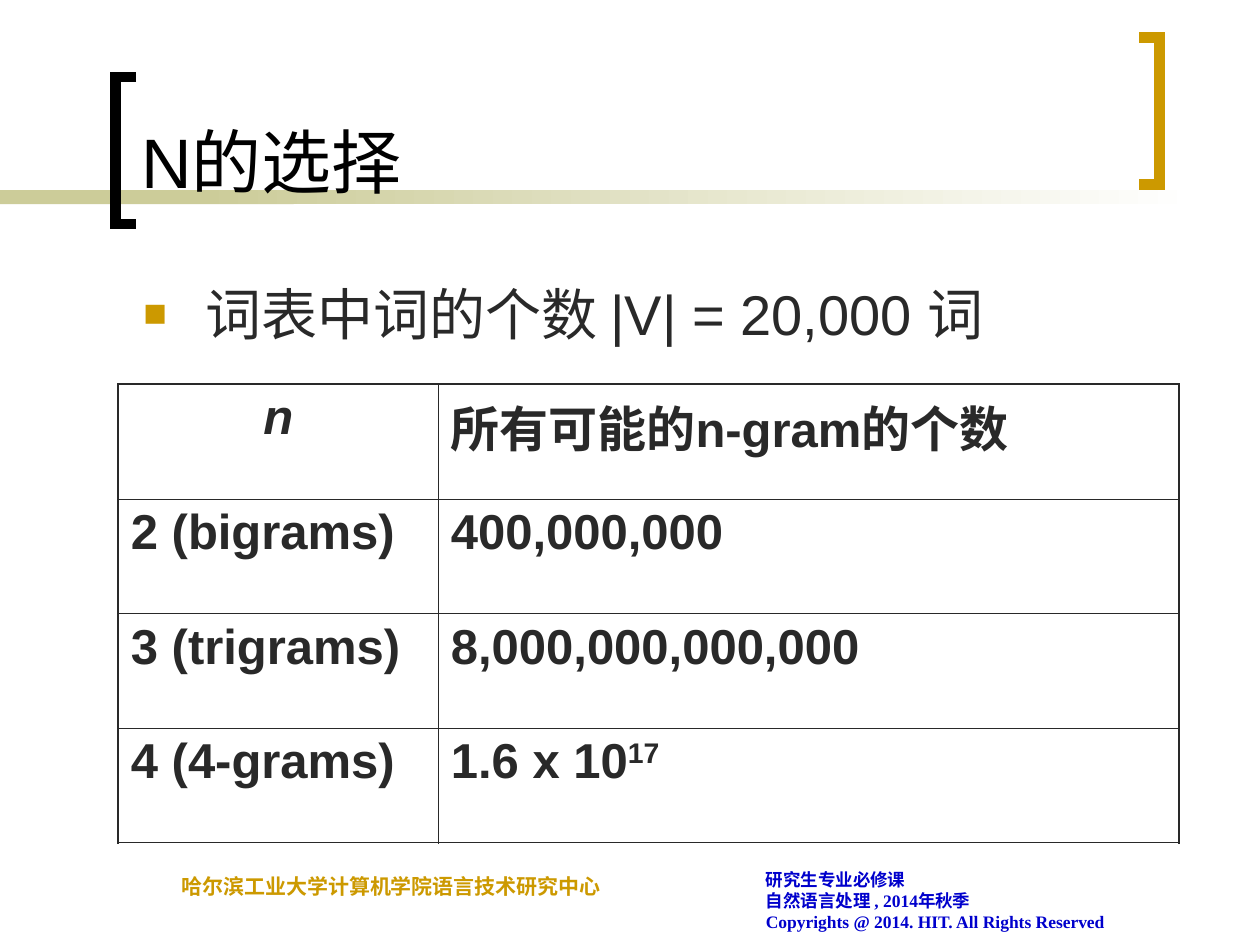
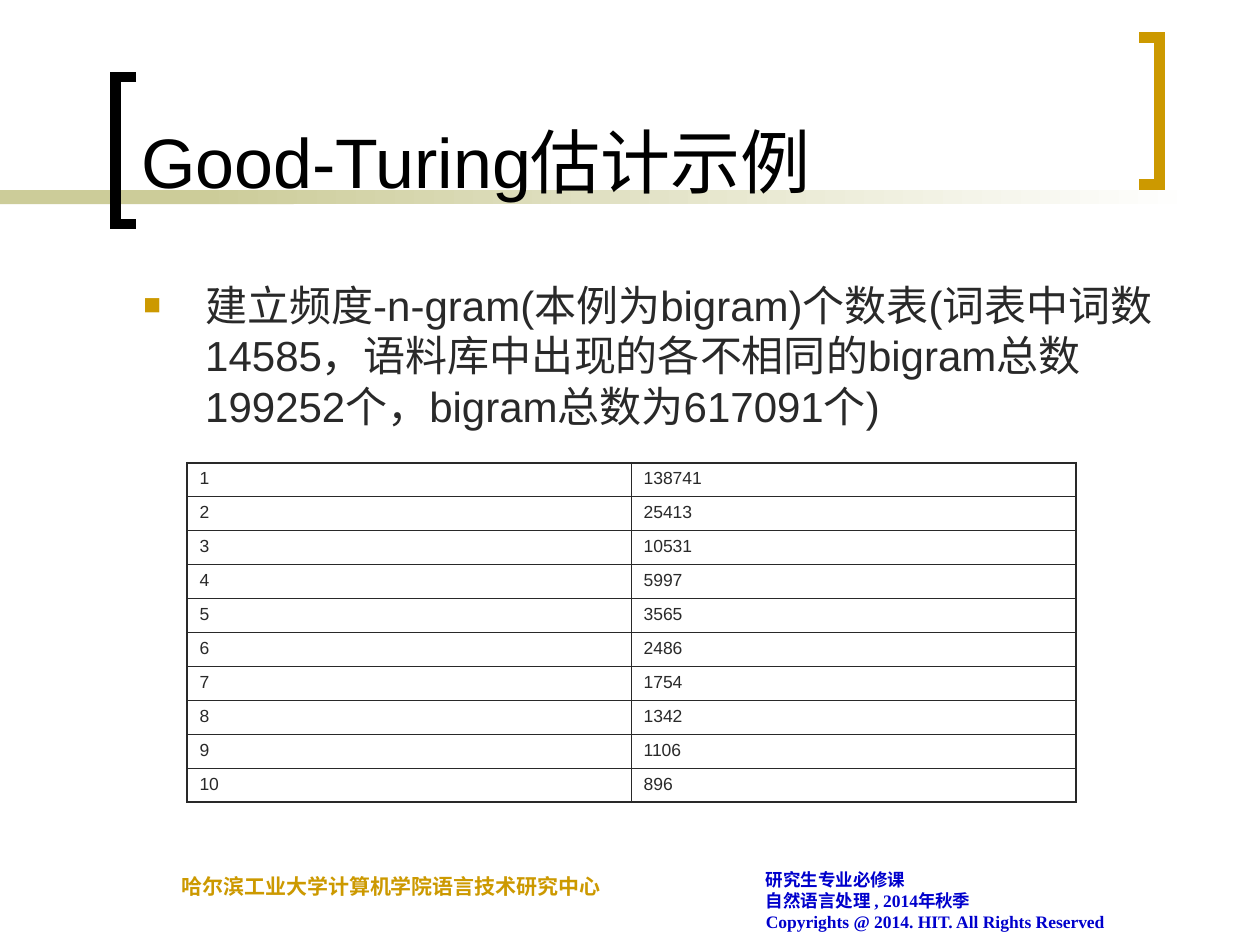
from lxml.etree import SubElement
from pptx import Presentation
from pptx.dml.color import RGBColor
from pptx.enum.shapes import MSO_SHAPE as SHAPE
from pptx.enum.text import MSO_ANCHOR as ANCHOR, MSO_AUTO_SIZE as AUTO_SIZE, PP_ALIGN as ALIGN
from pptx.oxml.ns import qn
from pptx.util import Pt

BLACK, INK, WHITE = "000000", "292929", "FFFFFF"
GOLD, SAND, BLUE = "CC9900", "CCCC99", "0000CC"
SANS, SERIF = "Arial", "Times New Roman"
COURSE_LINES = [
    "研究生专业必修课",
    "自然语言处理 , 2014年秋季",
    "Copyrights @ 2014. HIT. All Rights Reserved",
]
CENTER_NAME = "哈尔滨工业大学计算机学院语言技术研究中心"


def rgb(color):
    return RGBColor.from_string(color)


def style_paragraph(p, size, color, font=SANS, bold=False):
    for r in p.runs:
        r.font.name = font
        r.font.size = Pt(size)
        r.font.bold = bold
        r.font.color.rgb = rgb(color)


def add_band(s, left, width, end_color=None):
    sp = s.shapes.add_shape(SHAPE.RECTANGLE, Pt(left), Pt(108.7), Pt(width), Pt(7.9))
    sp.shadow.inherit = False
    sp.line.fill.background()
    if end_color is None:
        sp.fill.solid()
        sp.fill.fore_color.rgb = rgb(SAND)
        return
    sp.fill.gradient()
    sp.fill.gradient_angle = 0
    for stop, color in zip(sp.fill.gradient_stops, (SAND, end_color)):
        stop.color.rgb = rgb(color)


def add_bracket(s, spine, tip, top, color):
    bottom = top + 84.2
    builder = s.shapes.build_freeform(Pt(tip), Pt(top))
    corners = [(spine, top), (spine, bottom), (tip, bottom)]
    builder.add_line_segments([(Pt(x), Pt(y)) for x, y in corners], close=False)
    sp = builder.convert_to_shape()
    sp.shadow.inherit = False
    sp.fill.background()
    sp.line.color.rgb = rgb(color)
    sp.line.width = Pt(6)
    SubElement(sp.element.spPr.find(qn("a:ln")), qn("a:miter"), lim="800000")


def add_title(s, text):
    sp = s.shapes.title
    sp.element.getparent().append(sp.element)
    sp.left, sp.top, sp.width, sp.height = Pt(73.4), Pt(7.9), Pt(563.8), Pt(111.6)
    tf = sp.text_frame
    tf.text = text
    tf.auto_size = AUTO_SIZE.NONE
    tf.vertical_anchor = ANCHOR.BOTTOM
    p = tf.paragraphs[0]
    p.alignment = ALIGN.LEFT
    style_paragraph(p, 40, BLACK)


def add_text(s, left, top, width, height, lines, size, color, font=SANS, bold=False):
    box = s.shapes.add_textbox(Pt(left), Pt(top), Pt(width), Pt(height))
    tf = box.text_frame
    tf.word_wrap = True
    tf.text = "\n".join(lines)
    for p in tf.paragraphs:
        style_paragraph(p, size, color, font, bold)
    return tf


def add_bullet(s, text, size):
    tf = add_text(s, 74.9, 156.2, 603.4, 324, [text], size, INK)
    pPr = tf.paragraphs[0]._p.get_or_add_pPr()
    pPr.set("marL", str(Pt(35.3)))
    pPr.set("indent", str(-Pt(35.3)))
    SubElement(SubElement(pPr, qn("a:buClr")), qn("a:srgbClr"), val=GOLD)
    SubElement(pPr, qn("a:buSzPct"), val="70000")
    SubElement(pPr, qn("a:buFont"), typeface=SANS)
    SubElement(pPr, qn("a:buChar"), char="■")


def set_borders(cell, outer_sides):
    tcPr = cell._tc.get_or_add_tcPr()
    for side in "LRTB":
        width = Pt(1.08 if side in outer_sides else 0.45)
        ln = SubElement(tcPr, qn(f"a:ln{side}"), w=str(width))
        SubElement(SubElement(ln, qn("a:solidFill")), qn("a:srgbClr"), val=INK)


def add_grid(s, left, top, col_widths, row_height, rows, size, bold=False):
    frame = s.shapes.add_table(len(rows), len(col_widths), Pt(left), Pt(top),
                               Pt(sum(col_widths)), Pt(row_height * len(rows)))
    table = frame.table
    table.first_row = table.horz_banding = False
    for column, width in zip(table.columns, col_widths):
        column.width = Pt(width)
    last_row, last_col = len(rows) - 1, len(col_widths) - 1
    for i, values in enumerate(rows):
        table.rows[i].height = Pt(row_height)
        for j, value in enumerate(values):
            cell = table.cell(i, j)
            edges = {"L": j == 0, "R": j == last_col, "T": i == 0, "B": i == last_row}
            set_borders(cell, [side for side, outer in edges.items() if outer])
            cell.fill.background()
            cell.text_frame.text = str(value)
            style_paragraph(cell.text_frame.paragraphs[0], size, INK, bold=bold)
    return table


def add_superscript(p, text, size):
    r = p.add_run()
    r.text = text
    style_paragraph(p, size, INK, bold=True)
    r._r.get_or_add_rPr().set("baseline", "30000")


def add_footers(s):
    add_text(s, 430.6, 493.2, 218.2, 49, COURSE_LINES, 10, BLUE, SERIF, True)
    add_text(s, 96.5, 495.4, 329, 46.8, [CENTER_NAME], 12, GOLD, SERIF, True)


def add_slide(prs, title, bullet, bullet_size):
    s = prs.slides.add_slide(prs.slide_layouts[5])
    add_band(s, 0, 167.8)
    add_band(s, 113.8, 570.2, WHITE)
    add_bracket(s, 66, 77.8, 43.9, BLACK)
    add_bracket(s, 662.6, 650.9, 21.4, GOLD)
    add_title(s, title)
    add_bullet(s, bullet, bullet_size)
    add_footers(s)
    return s


def add_choice_slide(prs):
    s = add_slide(prs, "N的选择", "词表中词的个数 |V| = 20,000 词", 32)
    rows = [
        ("n", "所有可能的n-gram的个数"),
        ("2 (bigrams)", "400,000,000"),
        ("3 (trigrams)", "8,000,000,000,000"),
        ("4 (4-grams)", "1.6 x 10"),
    ]
    table = add_grid(s, 67.6, 219.6, (182.9, 423.3), 65.5, rows, 28, bold=True)
    p = table.cell(0, 0).text_frame.paragraphs[0]
    p.alignment = ALIGN.CENTER
    p.runs[0].font.italic = True
    add_superscript(table.cell(3, 1).text_frame.paragraphs[0], "17", 28)


def add_good_turing_slide(prs):
    bullet = ("建立频度-n-gram(本例为bigram)个数表(词表中词数14585，"
              "语料库中出现的各不相同的bigram总数199252个，bigram总数为617091个)")
    s = add_slide(prs, "Good-Turing估计示例", bullet, 24)
    counts = [138741, 25413, 10531, 5997, 3565, 2486, 1754, 1342, 1106, 896]
    add_grid(s, 106.8, 264.4, (253.8, 254.2), 19.4, list(enumerate(counts, 1)), 10)


def main():
    prs = Presentation()
    prs.slide_width, prs.slide_height = Pt(720), Pt(540)
    add_choice_slide(prs)
    add_good_turing_slide(prs)
    prs.save("out.pptx")


if __name__ == "__main__":
    main()
